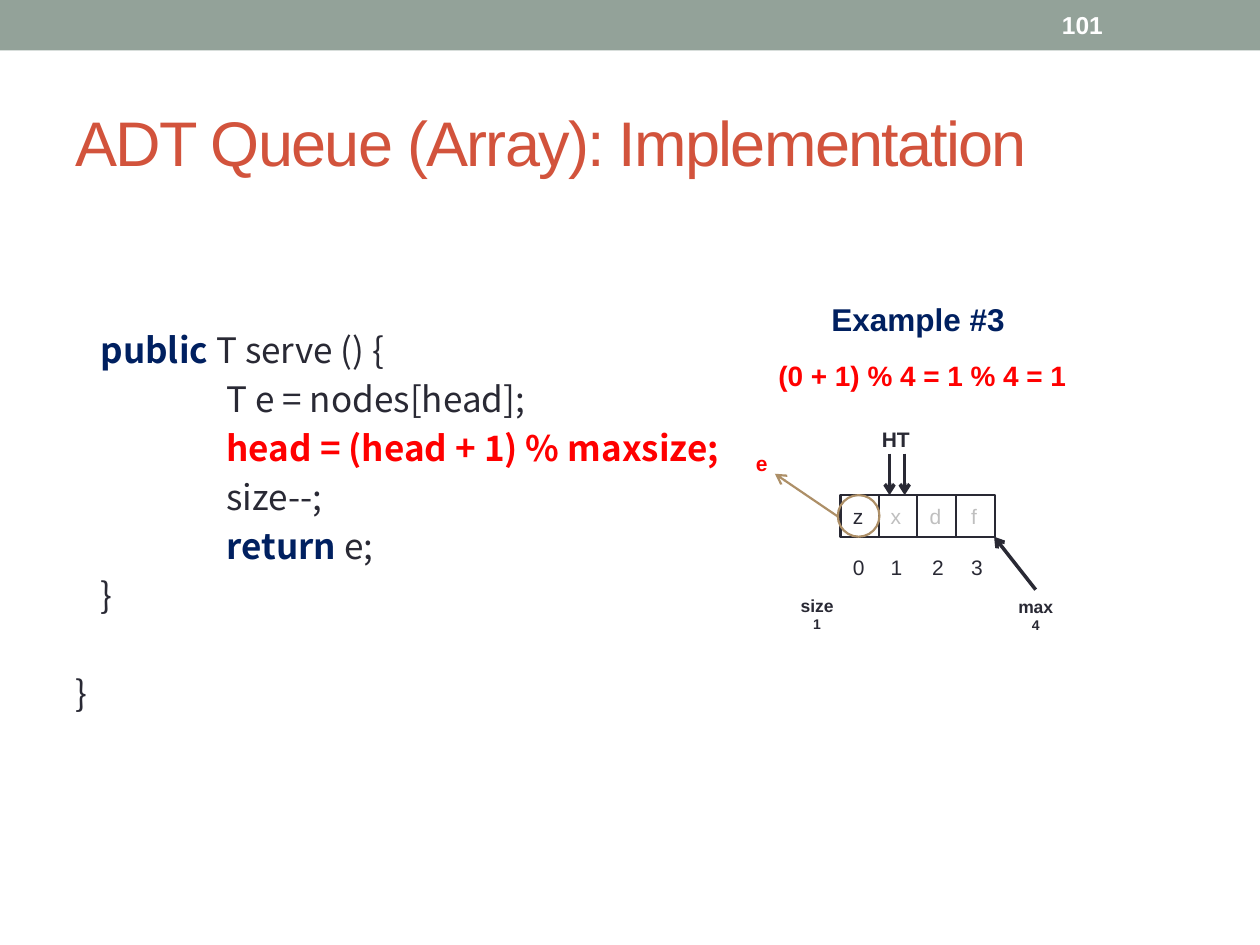
from lxml import etree
from pptx import Presentation
from pptx.dml.color import RGBColor
from pptx.enum.shapes import MSO_CONNECTOR, MSO_SHAPE
from pptx.enum.text import MSO_ANCHOR, PP_ALIGN
from pptx.oxml.ns import qn
from pptx.util import Inches, Pt

LEFT, CENTER = PP_ALIGN.LEFT, PP_ALIGN.CENTER
TOP, MIDDLE = MSO_ANCHOR.TOP, MSO_ANCHOR.MIDDLE
RECT, OVAL = MSO_SHAPE.RECTANGLE, MSO_SHAPE.OVAL
STRAIGHT = MSO_CONNECTOR.STRAIGHT

COLORS = {
    "band": "93A299", "title": "D2533C", "ink": "292934", "navy": "002060",
    "red": "FF0000", "faded": "BFBFBF", "tan": "AD8F67", "white": "FFFFFF",
}
SANS, CODE_FONT = "Arial", "Noto Sans CJK SC"

TITLE = "ADT Queue (Array): Implementation"

# indent in inches, space before in points, runs of (text, color, bold)
CODE = [
    (0.2, 0, [("public ", "navy", True), ("T serve () {", "ink", False)]),
    (1.2, 0, [("T e = nodes[head];", "ink", False)]),
    (1.2, 0, [("head = (head + 1) % maxsize;", "red", True)]),
    (1.2, 0, [("size--;", "ink", False)]),
    (1.2, 0, [("return ", "navy", True), ("e;", "ink", False)]),
    (0.2, 0, [("}", "ink", False)]),
    (0, 28, [("}", "ink", False)]),
]
CODE_PITCH = 28

# value, its left and width, its color, left of its index
CELLS = [
    ("z", 6.67, 0.3, "ink", 6.67),
    ("x", 6.97, 0.31, "faded", 6.97),
    ("d", 7.28, 0.31, "faded", 7.3),
    ("f", 7.61, 0.27, "faded", 7.61),
]
CELL_LEFT, CELL_TOP, CELL_PITCH, CELL_W, CELL_H = 6.67, 3.93, 0.305, 0.31, 0.33

# text, box, size, color
LABELS = [
    ("Example #3", (6.5, 2.33, 1.64, 0.4), 18, "navy"),
    ("(0 + 1) % 4 = 1 % 4 = 1", (6.08, 2.8, 2.76, 0.37), 16, "red"),
    ("H", (6.9, 3.34, 0.33, 0.3), 12, "ink"),
    ("T", (7.02, 3.34, 0.31, 0.3), 12, "ink"),
    ("e", (5.9, 3.53, 0.25, 0.3), 12, "red"),
]
# name, value, box
COUNTERS = [
    ("size", "1", (6.25, 4.67, 0.47, 0.4)),
    ("max", "4", (7.97, 4.68, 0.5, 0.4)),
]
# start, end, color, width
ARROWS = [
    ((7.06, 3.6), (7.06, 3.93), "ink", 2),
    ((7.18, 3.6), (7.18, 3.93), "ink", 2),
    ((8.22, 4.68), (7.89, 4.26), "ink", 2),
    ((6.65, 4.1), (6.15, 3.76), "tan", 1.25),
]


def rgb(name):
    return RGBColor.from_string(COLORS[name])


def add_run(p, text, size=12, color="ink", bold=False, font=SANS):
    r = p.add_run()
    r.text = text
    r.font.size, r.font.name, r.font.bold = Pt(size), font, bold
    r.font.color.rgb = rgb(color)
    return r


def add_text(s, text, box, align=LEFT, anchor=TOP, **fmt):
    tf = s.shapes.add_textbox(*map(Inches, box)).text_frame
    tf.word_wrap = False
    tf.vertical_anchor = anchor
    p = tf.paragraphs[0]
    p.alignment = align
    add_run(p, text, **fmt)
    return tf


def add_shape(s, kind, box, fill=None, line=None):
    sp = s.shapes.add_shape(kind, *map(Inches, box))
    sp.shadow.inherit = False
    if fill:
        sp.fill.solid()
        sp.fill.fore_color.rgb = rgb(fill)
    else:
        sp.fill.background()
    if line:
        sp.line.color.rgb = rgb(line)
        sp.line.width = Pt(1.25)
    else:
        sp.line.fill.background()


def add_arrow(s, start, end, color, width):
    c = s.shapes.add_connector(STRAIGHT, *map(Inches, start + end))
    c.line.color.rgb = rgb(color)
    c.line.width = Pt(width)
    etree.SubElement(c.line._get_or_add_ln(), qn("a:tailEnd"), type="arrow")
    etree.SubElement(c._element.spPr, qn("a:effectLst"))


def add_title(s):
    sp = s.shapes.title
    sp.left, sp.top, sp.width, sp.height = map(Inches, (0.5, 0.58, 9, 1.08))
    tf = sp.text_frame
    tf.vertical_anchor = MIDDLE
    p = tf.paragraphs[0]
    p.alignment = LEFT
    r = add_run(p, TITLE, size=36, color="title")
    r.font._element.set("spc", "-100")


def add_code(s):
    tf = s.shapes.add_textbox(*map(Inches, (0.5, 2.55, 5.6, 3.15))).text_frame
    tf.word_wrap = True
    tf.margin_top = tf.margin_bottom = 0
    for i, (indent, before, runs) in enumerate(CODE):
        p = tf.add_paragraph() if i else tf.paragraphs[0]
        p._p.get_or_add_pPr().set("marL", str(Inches(indent)))
        p.line_spacing, p.space_before = Pt(CODE_PITCH), Pt(before)
        for text, color, bold in runs:
            add_run(p, text, size=20, color=color, bold=bold, font=CODE_FONT)


def add_array(s):
    for i in range(len(CELLS)):
        left = CELL_LEFT + i * CELL_PITCH
        add_shape(s, RECT, (left, CELL_TOP, CELL_W, CELL_H), "white", "ink")
    for i, (value, left, width, color, index_left) in enumerate(CELLS):
        add_text(s, value, (left, 3.95, width, 0.3), color=color)
        add_text(s, str(i), (index_left, 4.35, 0.31, 0.3))
    add_shape(s, OVAL, (6.65, CELL_TOP, CELL_H, CELL_H), line="tan")


def main():
    prs = Presentation()
    prs.slide_width, prs.slide_height = Inches(10), Inches(7.5)
    s = prs.slides.add_slide(prs.slide_layouts[5])
    add_shape(s, RECT, (0, 0, 10, 0.4), "band")
    add_title(s)
    add_text(s, "101", (8.33, 0.02, 1.17, 0.36), anchor=MIDDLE,
             size=14, color="white", bold=True).word_wrap = True
    add_code(s)
    add_array(s)
    for text, box, size, color in LABELS:
        add_text(s, text, box, size=size, color=color, bold=True)
    for name, value, box in COUNTERS:
        tf = add_text(s, name, box, align=CENTER, size=10, bold=True)
        p = tf.add_paragraph()
        p.alignment = CENTER
        add_run(p, value, size=8, bold=True)
    for arrow in ARROWS:
        add_arrow(s, *arrow)
    prs.save("out.pptx")


if __name__ == "__main__":
    main()
